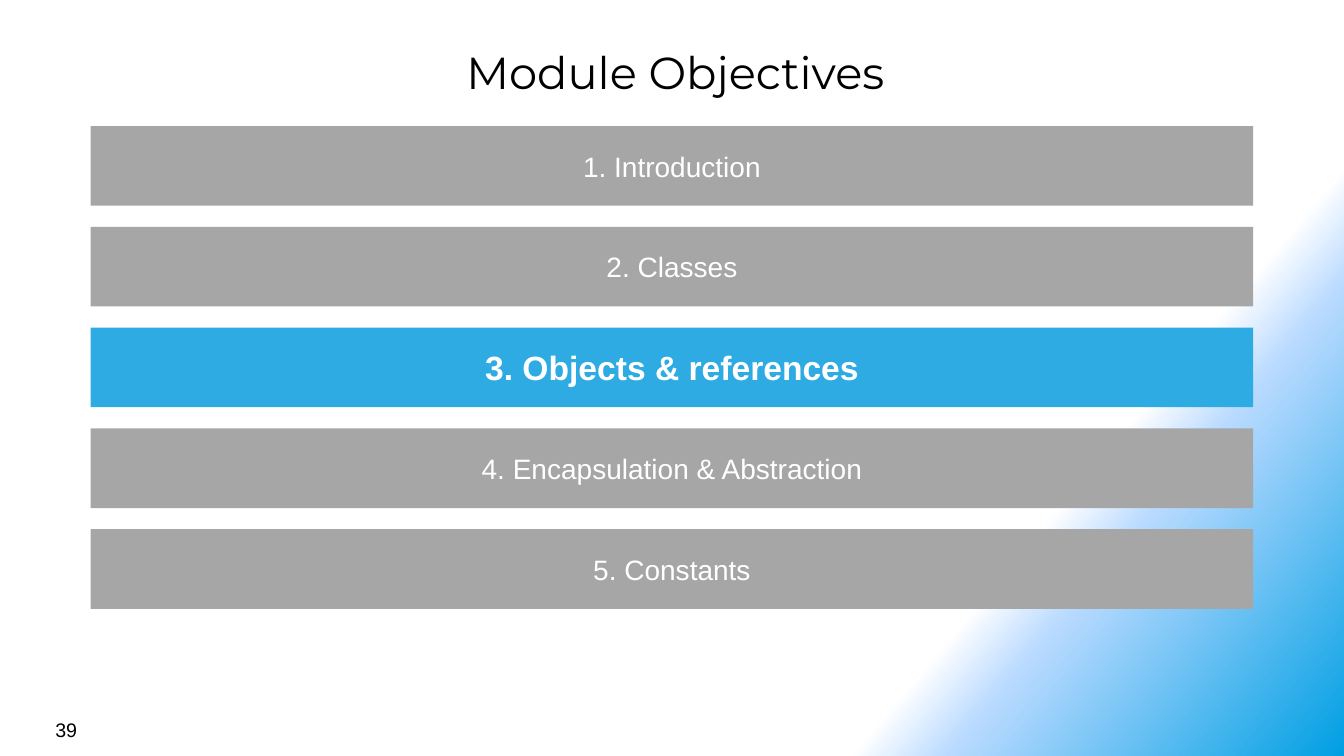
import lxml.etree
import pptx
import pptx.dml.color
import pptx.enum.shapes
import pptx.enum.text
import pptx.oxml.ns
import pptx.util

THEME = {
    "bar": "A6A6A6", "current": "2EABE2", "on_bar": "FFFFFF", "ink": "000000",
    "body_font": "Arial", "title_font": "Montserrat",
    "title": 32, "current_size": 24, "bar_size": 20, "number": 14,
    # position in %, colour, opacity in %
    "glow": [(75, "FFFFFF", 100), (80, "B9DAFF", 50), (100, "009FE3", 100)],
    "glow_angle": 40,
}
ALIGN = pptx.enum.text.PP_ALIGN
ANCHOR = pptx.enum.text.MSO_ANCHOR
inches = pptx.util.Inches
rgb = pptx.dml.color.RGBColor.from_string
qn = pptx.oxml.ns.qn


def write(box, text, size, color, font=THEME["body_font"], bold=False,
          align=ALIGN.CENTER, anchor=ANCHOR.MIDDLE):
    frame = box.text_frame
    frame.word_wrap = True
    frame.vertical_anchor = anchor
    para = frame.paragraphs[0]
    para.alignment = align
    span = para.add_run()
    span.text = text
    span.font.name = font
    span.font.size = pptx.util.Pt(size)
    span.font.bold = bold
    span.font.color.rgb = rgb(color)


deck = pptx.Presentation()
deck.slide_width, deck.slide_height = inches(13.33), inches(7.5)
page = deck.slides.add_slide(deck.slide_layouts[6])

# Background: white fading to blue in the lower right corner
fill = page.background.fill
fill.gradient()
fill.gradient_angle = 360 - THEME["glow_angle"]
stops = next(page.element.iter(qn("a:gsLst")))
for stop in list(stops):
    stops.remove(stop)
for position, color, opacity in THEME["glow"]:
    stop = lxml.etree.SubElement(stops, qn("a:gs"), pos=str(position * 1000))
    shade = lxml.etree.SubElement(stop, qn("a:srgbClr"), val=color)
    if opacity < 100:
        lxml.etree.SubElement(shade, qn("a:alpha"), val=str(opacity * 1000))

# Title
title = page.shapes.add_textbox(inches(0.67), inches(0.39), inches(12.06), inches(0.64))
write(title, "Module Objectives", THEME["title"], THEME["ink"], font=THEME["title_font"])

# Objectives: one bar per row, the current one highlighted
objectives = ["Introduction", "Classes", "Objects & references",
              "Encapsulation & Abstraction", "Constants"]
current = 3
first_top, row_pitch = 1.25, 1.0
for number, objective in enumerate(objectives, start=1):
    active = number == current
    bar = page.shapes.add_shape(
        pptx.enum.shapes.MSO_SHAPE.RECTANGLE,
        inches(0.9), inches(first_top + (number - 1) * row_pitch),
        inches(11.53), inches(0.79))
    bar.shadow.inherit = False
    bar.fill.solid()
    bar.fill.fore_color.rgb = rgb(THEME["current" if active else "bar"])
    bar.line.fill.background()
    write(bar, f"{number}. {objective}",
          THEME["current_size" if active else "bar_size"],
          THEME["on_bar"], bold=active)

# Page number
page_number = page.shapes.add_textbox(inches(0.45), inches(7.07), inches(3.11), inches(0.33))
write(page_number, "39", THEME["number"], THEME["ink"], align=ALIGN.LEFT, anchor=ANCHOR.TOP)

deck.save("out.pptx")
